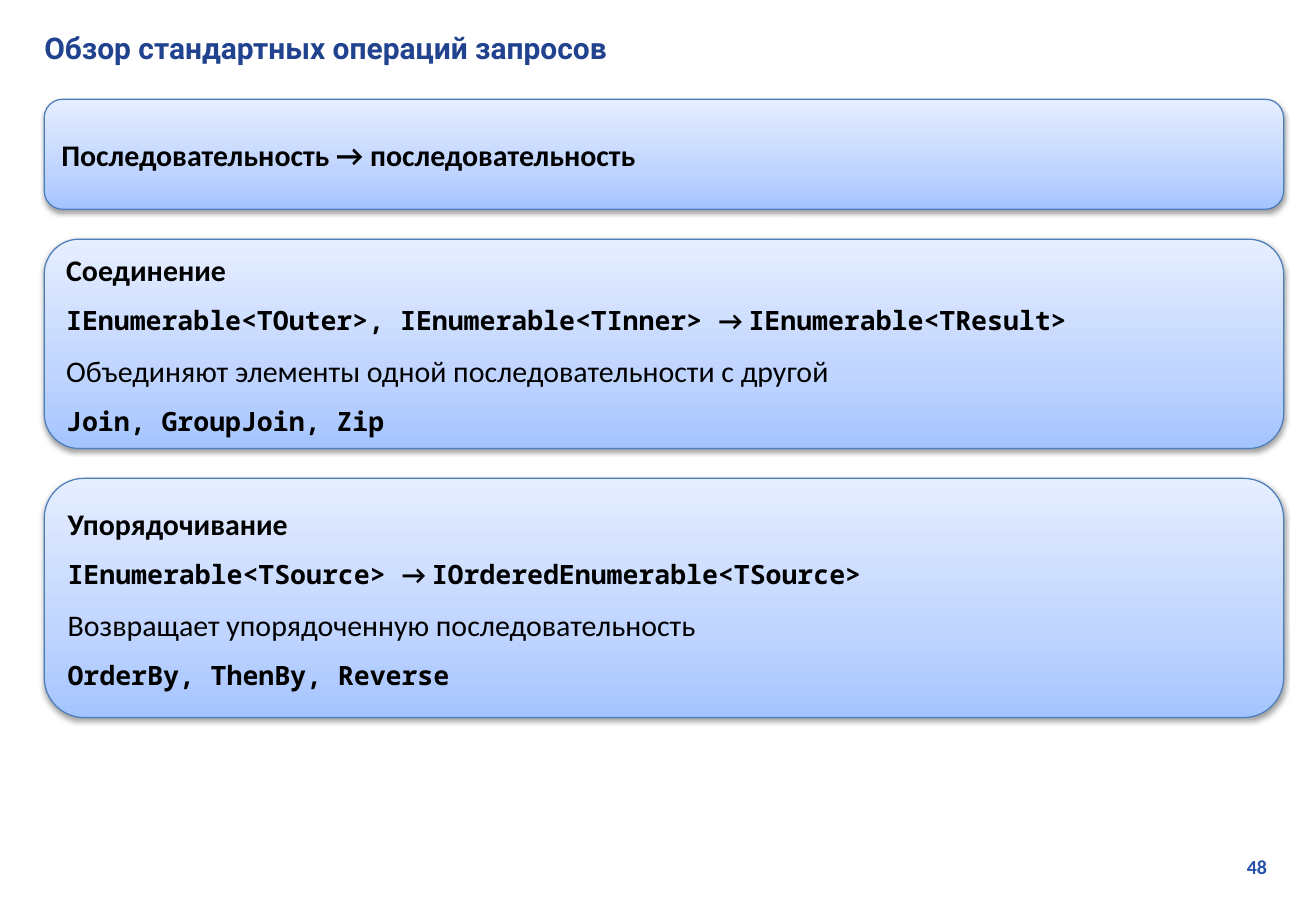
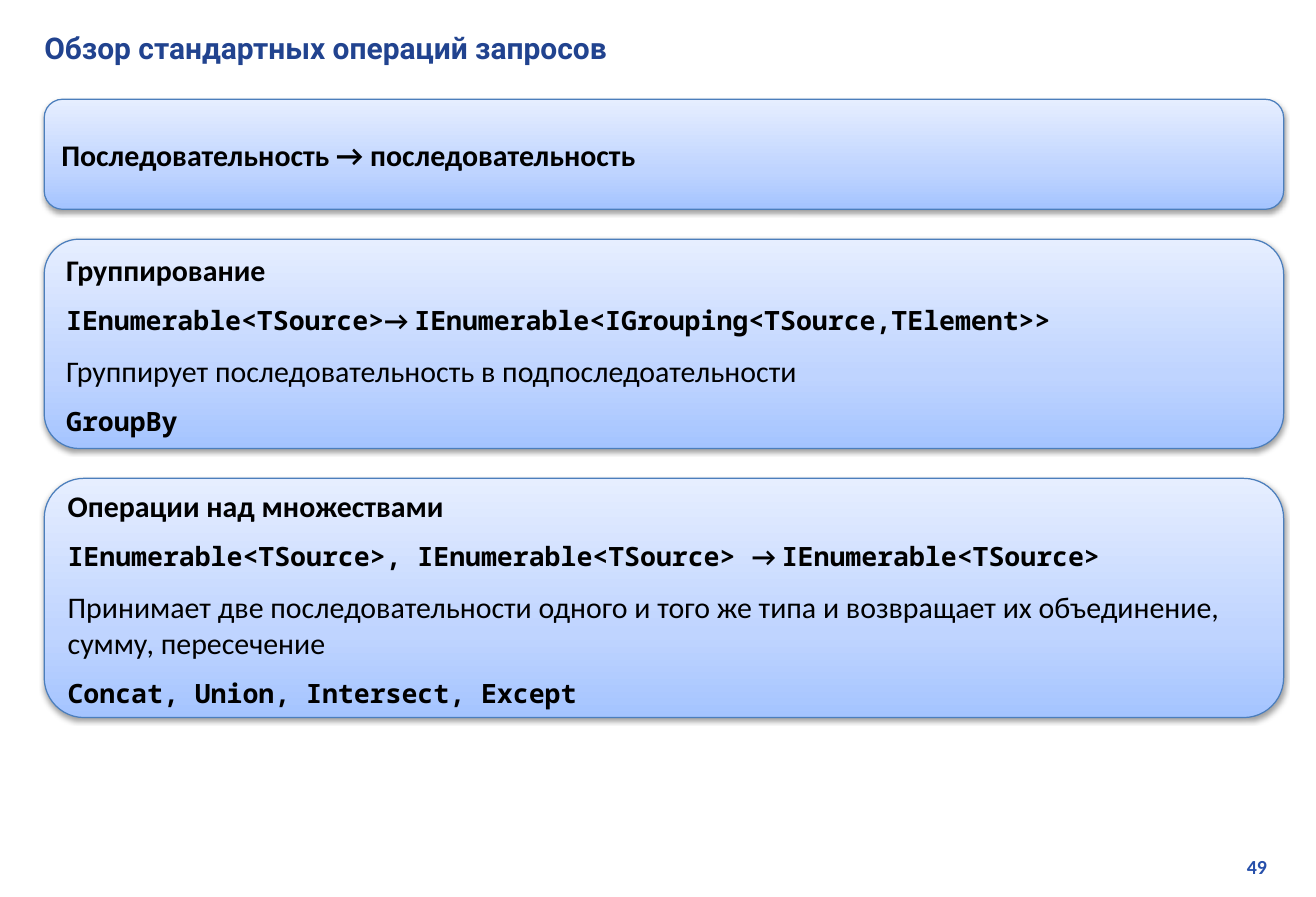
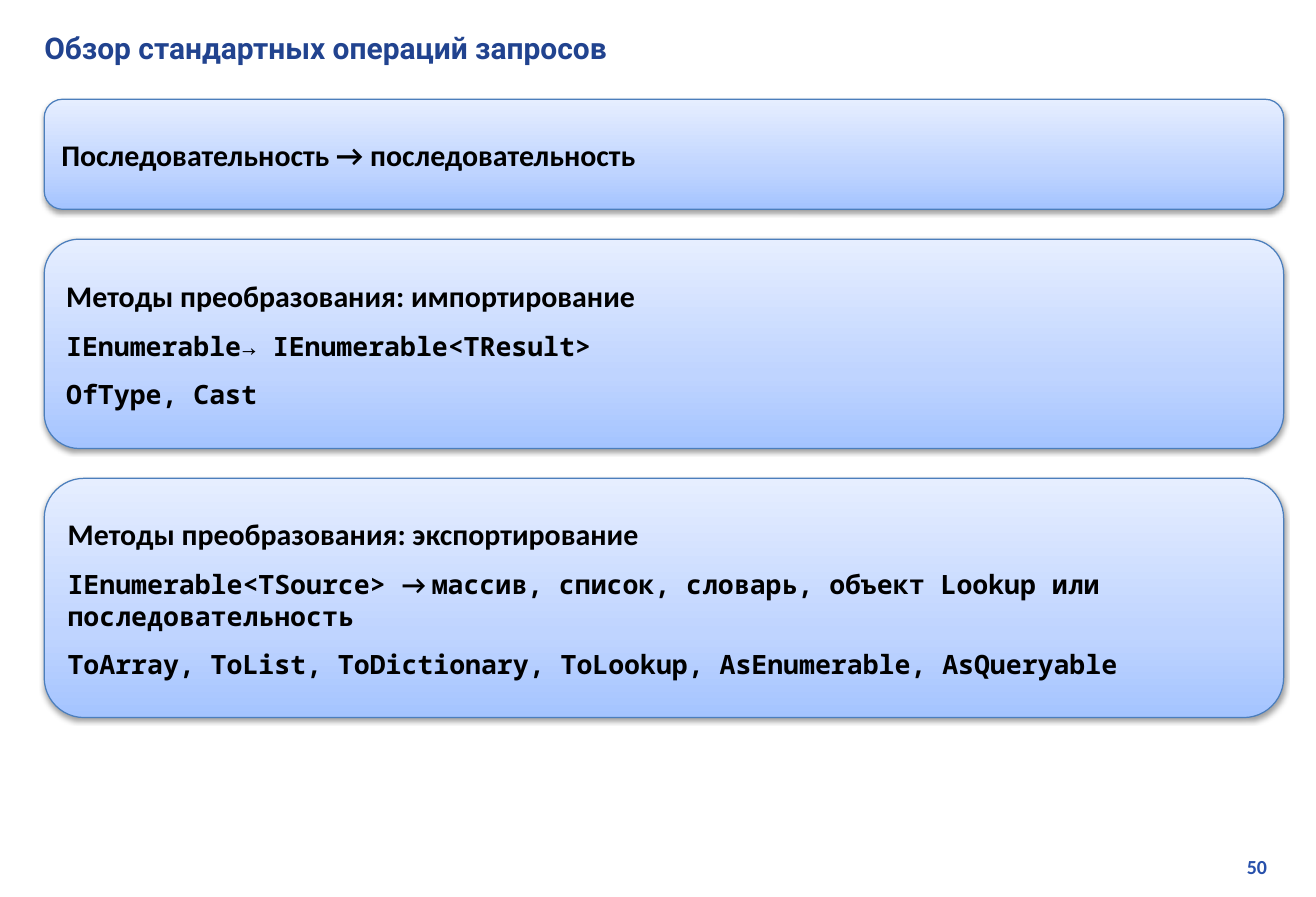
import copy
from dataclasses import dataclass

import lxml.etree
import pptx
import pptx.dml.color
import pptx.enum.shapes
import pptx.enum.text
import pptx.oxml.ns
import pptx.presentation
import pptx.shapes.autoshape
import pptx.slide
import pptx.text.text
import pptx.util

Inches = pptx.util.Inches
Pt = pptx.util.Pt
qn = pptx.oxml.ns.qn
PP_ALIGN = pptx.enum.text.PP_ALIGN
MSO_ANCHOR = pptx.enum.text.MSO_ANCHOR


@dataclass(frozen=True)
class TextStyle:
    font: str
    size: int
    color: str
    bold: bool = True


@dataclass(frozen=True)
class Theme:
    title: TextStyle = TextStyle("Roboto", 18, "21438F")
    number: TextStyle = TextStyle("Calibri", 12, "2750AB")
    heading: TextStyle = TextStyle("Calibri", 18, "000000")
    code: TextStyle = TextStyle("Noto Sans Mono", 16, "000000")
    body: TextStyle = TextStyle("Calibri", 18, "000000", bold=False)
    arrow_font: str = "Calibri"
    panel_stops: tuple[tuple[float, str], ...] = (
        (0, "A4C4FF"), (0.35, "BFD4FF"), (1, "E6EEFF"))
    panel_line: str = "4B7EBC"
    panel_line_width: float = 0.75
    shadow: str = "000000"
    space_after: int = 10


THEME = Theme()
TITLE = "Обзор стандартных операций запросов"
FIRST_NUMBER = 48
ARROW = "→ "
PANEL_LEFT, PANEL_TOP, PANEL_WIDTH, PANEL_GAP = 0.37, 0.83, 10.36, 0.25
PANEL_HEIGHTS = (0.92, 1.75, 2)


@dataclass(frozen=True)
class Line:
    """One paragraph; every second piece is set in the arrow font."""
    style: TextStyle
    pieces: tuple[str, ...]


def heading(text: str) -> Line:
    return Line(THEME.heading, (text,))


def body(text: str) -> Line:
    return Line(THEME.body, (text,))


def code(text: str) -> Line:
    return Line(THEME.code, (text,))


def mapping(source: str, result: str) -> Line:
    return Line(THEME.code, (source, ARROW, result))


Panel = tuple[Line, ...]
BANNER: Panel = (heading("Последовательность → последовательность"),)

PAGES: tuple[tuple[Panel, Panel], ...] = (
    (
        (heading("Соединение"),
         mapping("IEnumerable<TOuter>, IEnumerable<TInner> ", "IEnumerable<TResult>"),
         body("Объединяют элементы одной последовательности с другой"),
         code("Join, GroupJoin, Zip")),
        (heading("Упорядочивание"),
         mapping("IEnumerable<TSource> ", "IOrderedEnumerable<TSource>"),
         body("Возвращает упорядоченную последовательность"),
         code("OrderBy, ThenBy, Reverse")),
    ),
    (
        (heading("Группирование"),
         mapping("IEnumerable<TSource>", "IEnumerable<IGrouping<TSource,TElement>>"),
         body("Группирует последовательность в подпоследоательности"),
         code("GroupBy")),
        (heading("Операции над множествами"),
         mapping("IEnumerable<TSource>, IEnumerable<TSource> ", "IEnumerable<TSource>"),
         body("Принимает две последовательности одного и того же типа "
              "и возвращает их объединение, сумму, пересечение"),
         code("Concat, Union, Intersect, Except")),
    ),
    (
        (heading("Методы преобразования: импортирование"),
         code("IEnumerable→ IEnumerable<TResult>"),
         code("OfType, Cast")),
        (heading("Методы преобразования: экспортирование"),
         mapping("IEnumerable<TSource> ",
                 "массив, список, словарь, объект Lookup или последовательность"),
         code("ToArray, ToList, ToDictionary, ToLookup, AsEnumerable, AsQueryable")),
    ),
)


def rgb(value: str) -> pptx.dml.color.RGBColor:
    return pptx.dml.color.RGBColor.from_string(value)


def write_line(para: pptx.text.text._Paragraph, line: Line,
               align: PP_ALIGN = PP_ALIGN.LEFT) -> None:
    para.alignment = align
    para.font.size = Pt(line.style.size)
    para.font.bold = line.style.bold
    para.font.color.rgb = rgb(line.style.color)
    if len(line.pieces) == 1:
        para.font.name = line.style.font
    for index, piece in enumerate(line.pieces):
        span = para.add_run()
        span.text = piece
        if len(line.pieces) > 1:
            span.font.name = THEME.arrow_font if index % 2 else line.style.font


def fill_panel(shape: pptx.shapes.autoshape.Shape) -> None:
    """Three-stop gradient, lightest at the top."""
    shape.fill.gradient()
    shape.fill.gradient_angle = 90
    stop_list = shape._element.spPr.find(qn("a:gradFill")).find(qn("a:gsLst"))
    stop_list.append(copy.deepcopy(stop_list[-1]))
    for stop, (position, color) in zip(shape.fill.gradient_stops, THEME.panel_stops):
        stop.position = position
        stop.color.rgb = rgb(color)


def add_shadow(shape: pptx.shapes.autoshape.Shape) -> None:
    shape.shadow.inherit = False
    effects = shape._element.spPr.find(qn("a:effectLst"))
    shadow = lxml.etree.SubElement(
        effects, qn("a:outerShdw"), blurRad=str(Pt(3.1)), dist=str(Pt(1.6)),
        dir="5400000", rotWithShape="0")
    color = lxml.etree.SubElement(shadow, qn("a:srgbClr"), val=THEME.shadow)
    lxml.etree.SubElement(color, qn("a:alpha"), val="38000")


def add_panel(page: pptx.slide.Slide, top: float, height: float, lines: Panel) -> None:
    shape = page.shapes.add_shape(
        pptx.enum.shapes.MSO_SHAPE.ROUNDED_RECTANGLE,
        Inches(PANEL_LEFT), Inches(top), Inches(PANEL_WIDTH), Inches(height))
    fill_panel(shape)
    shape.line.color.rgb = rgb(THEME.panel_line)
    shape.line.width = Pt(THEME.panel_line_width)
    add_shadow(shape)
    frame = shape.text_frame
    frame.word_wrap = True
    frame.vertical_anchor = MSO_ANCHOR.MIDDLE
    for index, line in enumerate(lines):
        para = frame.add_paragraph() if index else frame.paragraphs[0]
        para.space_after = Pt(THEME.space_after)
        write_line(para, line)


def set_title(page: pptx.slide.Slide) -> None:
    title = page.shapes.title
    title.left, title.top = Inches(0.27), Inches(0.2)
    title.width, title.height = Inches(10.5), Inches(0.4)
    frame = title.text_frame
    frame.auto_size = pptx.enum.text.MSO_AUTO_SIZE.NONE
    frame.vertical_anchor = MSO_ANCHOR.MIDDLE
    write_line(frame.paragraphs[0], Line(THEME.title, (TITLE,)))


def add_number(page: pptx.slide.Slide, number: int) -> None:
    box = page.shapes.add_textbox(Inches(8.36), Inches(7.1), Inches(2.33), Inches(0.3))
    box.text_frame.word_wrap = True
    write_line(box.text_frame.paragraphs[0],
               Line(THEME.number, (str(number),)), PP_ALIGN.RIGHT)


def add_page(deck: pptx.presentation.Presentation, number: int,
             panels: tuple[Panel, Panel]) -> None:
    page = deck.slides.add_slide(deck.slide_layouts.get_by_name("Title Only"))
    add_number(page, number)
    set_title(page)
    top = PANEL_TOP
    for height, lines in zip(PANEL_HEIGHTS, (BANNER, *panels)):
        add_panel(page, top, height, lines)
        top += height + PANEL_GAP


def main() -> None:
    deck = pptx.Presentation()
    deck.slide_width, deck.slide_height = Inches(11), Inches(7.5)
    for number, panels in enumerate(PAGES, FIRST_NUMBER):
        add_page(deck, number, panels)
    deck.save("out.pptx")


if __name__ == "__main__":
    main()
